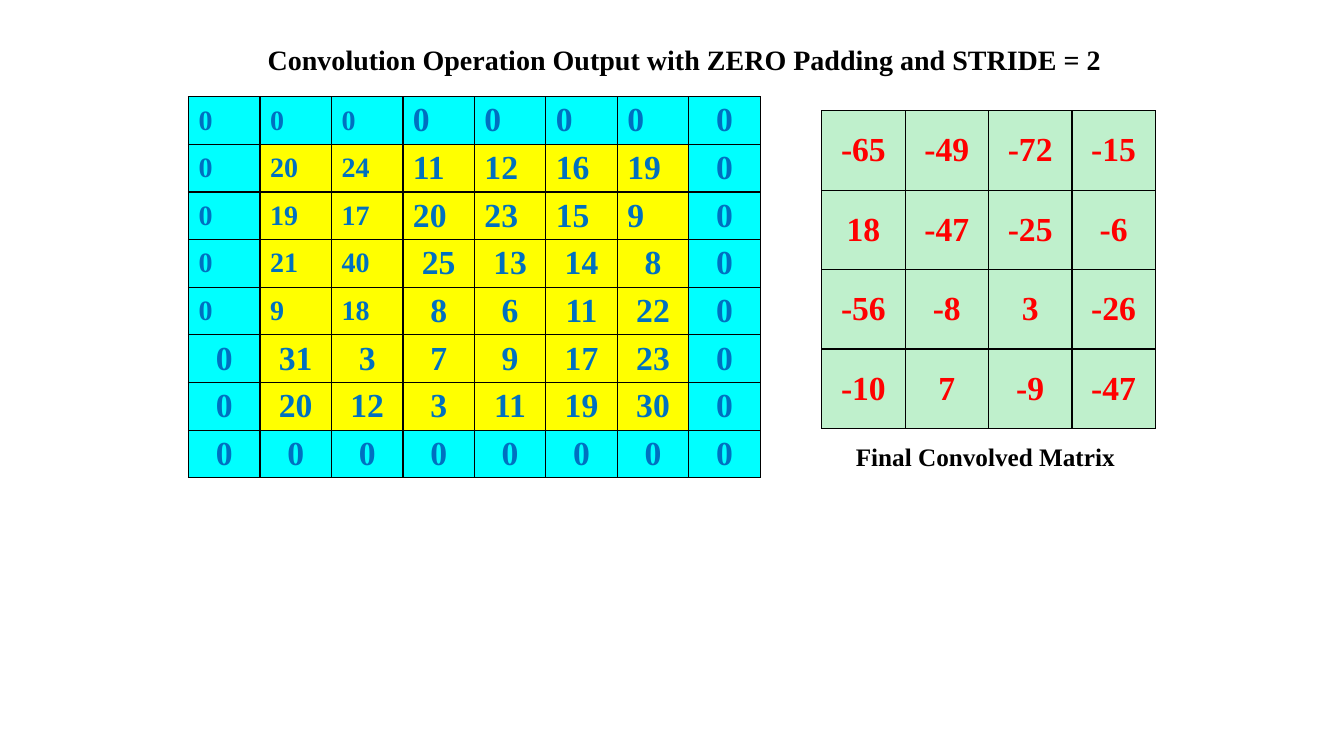
import pptx
import pptx.util
import pptx.dml.color
import pptx.enum.text
import pptx.oxml
import pptx.oxml.ns
from lxml import etree

Inches = pptx.util.Inches
ALIGN = pptx.enum.text.PP_ALIGN
ANCHOR = pptx.enum.text.MSO_ANCHOR

TITLE = "Convolution Operation Output with ZERO Padding and STRIDE = 2"
CAPTION = "Final Convolved Matrix"
INPUT_MATRIX = [
    [20, 24, 11, 12, 16, 19],
    [19, 17, 20, 23, 15, 9],
    [21, 40, 25, 13, 14, 8],
    [9, 18, 8, 6, 11, 22],
    [31, 3, 7, 9, 17, 23],
    [20, 12, 3, 11, 19, 30],
]
CONVOLVED_MATRIX = [
    [-65, -49, -72, -15],
    [18, -47, -25, -6],
    [-56, -8, 3, -26],
    [-10, 7, -9, -47],
]
FONT = "Times New Roman"
COLORS = {
    "padding": "00FFFF",
    "input": "FFFF00",
    "input_text": "0070C0",
    "output": "6BDE8A",
    "output_text": "FF0000",
    "black": "000000",
}
OUTPUT_OPACITY = 43


def rgb(name):
    return pptx.dml.color.RGBColor.from_string(COLORS[name])


def format_paragraph(paragraph, size, color, alignment):
    paragraph.alignment = alignment
    for run in paragraph.runs:
        run.font.name = FONT
        run.font.size = pptx.util.Pt(size)
        run.font.bold = True
        run.font.color.rgb = rgb(color)


def add_borders(cell):
    properties = cell._tc.get_or_add_tcPr()
    for index, side in enumerate(("lnL", "lnR", "lnT", "lnB")):
        border = pptx.oxml.parse_xml(
            f'<a:{side} {pptx.oxml.ns.nsdecls("a")} w="12700"><a:solidFill>'
            f'<a:srgbClr val="{COLORS["black"]}"/></a:solidFill></a:{side}>'
        )
        properties.insert(index, border)


def set_opacity(cell, percent):
    color = cell._tc.tcPr.find(pptx.oxml.ns.qn("a:solidFill"))[0]
    alpha = etree.SubElement(color, pptx.oxml.ns.qn("a:alpha"))
    alpha.set("val", str(percent * 1000))


def add_matrix(slide, matrix, left, top, width, height, text_color, cell_style):
    row_count, column_count = len(matrix), len(matrix[0])
    table = slide.shapes.add_table(
        row_count, column_count, Inches(left), Inches(top), Inches(width), Inches(height)
    ).table
    table.first_row = False
    table.horz_banding = False
    for column in table.columns:
        column.width = Inches(width / column_count)
    for row in table.rows:
        row.height = Inches(height / row_count)
    for row_index, values in enumerate(matrix):
        for column_index, value in enumerate(values):
            fill, opacity, size, alignment = cell_style(row_index, column_index)
            cell = table.cell(row_index, column_index)
            cell.text_frame.text = str(value)
            cell.vertical_anchor = ANCHOR.MIDDLE
            cell.margin_top = cell.margin_bottom = Inches(0.04)
            format_paragraph(cell.text_frame.paragraphs[0], size, text_color, alignment)
            cell.fill.solid()
            cell.fill.fore_color.rgb = rgb(fill)
            if opacity < 100:
                set_opacity(cell, opacity)
            add_borders(cell)


def padded_style(row, column):
    last = len(INPUT_MATRIX) + 1
    fill = "padding" if row in (0, last) or column in (0, last) else "input"
    small = row < 5 and column < 3
    left_aligned = small or (row < 3 and column < last)
    return fill, 100, 20 if small else 24, ALIGN.LEFT if left_aligned else ALIGN.CENTER


def output_style(row, column):
    return "output", OUTPUT_OPACITY, 24, ALIGN.CENTER


def main():
    presentation = pptx.Presentation()
    presentation.slide_width = Inches(13.33)
    presentation.slide_height = Inches(7.5)
    slide = presentation.slides.add_slide(presentation.slide_layouts[5])

    title = slide.shapes.title
    title.left, title.top = Inches(0.56), Inches(0.37)
    title.width, title.height = Inches(12.46), Inches(0.44)
    title.text_frame.text = TITLE
    title.text_frame.vertical_anchor = ANCHOR.TOP
    format_paragraph(title.text_frame.paragraphs[0], 20, "black", ALIGN.CENTER)

    zero_row = [0] * (len(INPUT_MATRIX[0]) + 2)
    padded_matrix = [zero_row, *([0, *row, 0] for row in INPUT_MATRIX), zero_row]
    add_matrix(slide, padded_matrix, 1.87, 0.96, 5.67, 3.78, "input_text", padded_style)
    add_matrix(slide, CONVOLVED_MATRIX, 8.15, 1.1, 3.31, 3.15, "output_text", output_style)

    caption = slide.shapes.add_textbox(Inches(8.39), Inches(4.33), Inches(2.83), Inches(0.4))
    caption.text_frame.word_wrap = True
    caption.text_frame.text = CAPTION
    format_paragraph(caption.text_frame.paragraphs[0], 18, "black", ALIGN.LEFT)

    presentation.save("out.pptx")


if __name__ == "__main__":
    main()
